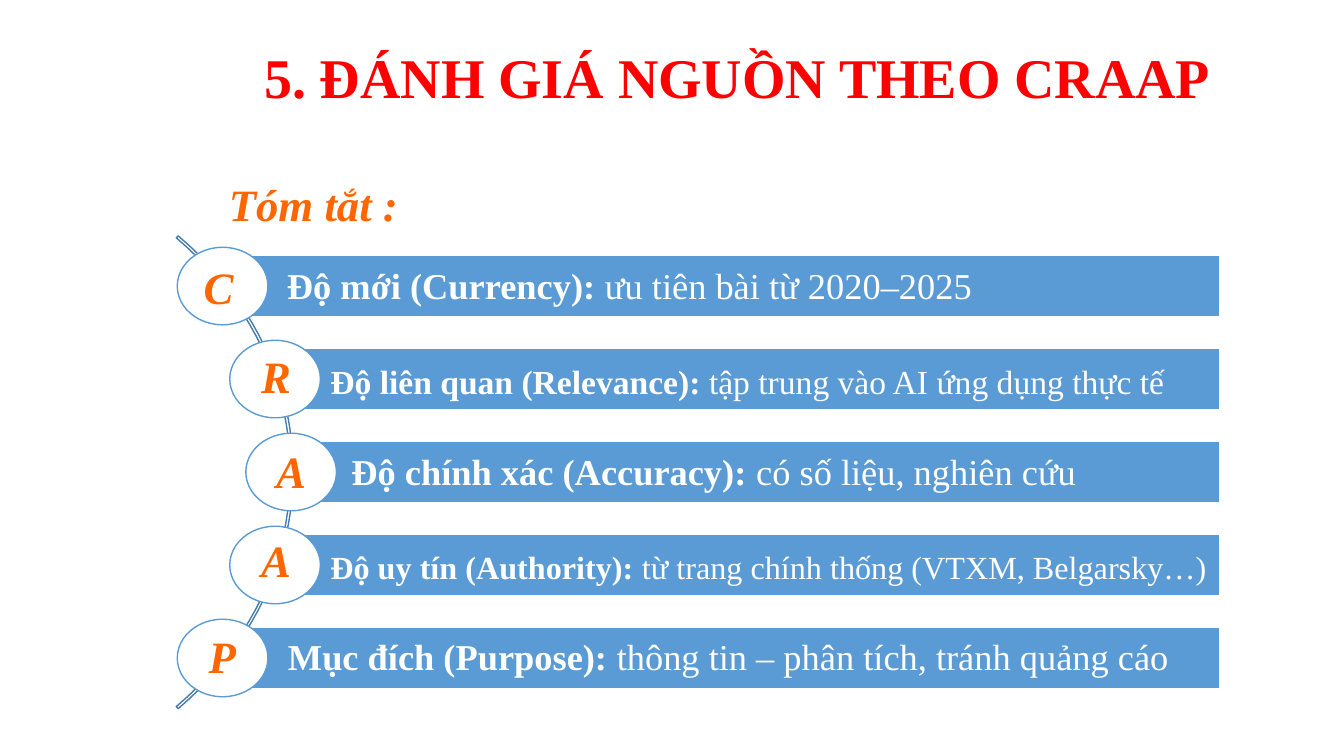
"""Build the slide that sums up the CRAAP source checks."""
from dataclasses import dataclass

import pptx
import pptx.dml.color
import pptx.enum.shapes
import pptx.enum.text
import pptx.util

Pt = pptx.util.Pt
RGB = pptx.dml.color.RGBColor.from_string
ALIGN = pptx.enum.text.PP_ALIGN
SHAPE = pptx.enum.shapes.MSO_SHAPE


@dataclass
class Theme:
    font: str = "Times New Roman"
    red: RGB = RGB("FF0000")
    orange: RGB = RGB("FF6600")
    blue: RGB = RGB("5B9BD5")
    arc: RGB = RGB("477BA9")
    white: RGB = RGB("FFFFFF")
    title: int = 40
    letter: int = 32


theme = Theme()
prs = pptx.Presentation()
prs.slide_width, prs.slide_height = Pt(960.48), Pt(540)
s = prs.slides.add_slide(prs.slide_layouts[6])


def add_text(box, runs, size, color, align=ALIGN.JUSTIFY, italic=False, inset=7.2):
    tb = s.shapes.add_textbox(*[Pt(v) for v in box])
    tf = tb.text_frame
    tf.word_wrap = True
    tf.margin_left = Pt(inset)
    p = tf.paragraphs[0]
    p.alignment = align
    for text, bold in runs:
        r = p.add_run()
        r.text = text
        r.font.name = theme.font
        r.font.size = Pt(size)
        r.font.bold = bold
        r.font.italic = italic
        r.font.color.rgb = color


def style(sp, line, fill=None):
    sp.shadow.inherit = False
    if fill is None:
        sp.fill.background()
    else:
        sp.fill.solid()
        sp.fill.fore_color.rgb = fill
    sp.line.color.rgb = line
    sp.line.width = Pt(1)


add_text((167, 26.6, 720, 55.4), [("5. ĐÁNH GIÁ NGUỒN THEO CRAAP", True)],
         theme.title, theme.red, ALIGN.CENTER)

steps = 40
outer = (127.4, 168.5), (236.9, 261.4), (236.9, 412.6), (127.4, 506.2)
inner = (126, 504.7), (234.7, 412.6), (234.7, 262.1), (126, 169.9)
points = []
for curve in (outer, inner):
    for i in range(steps + 1):
        t = i / steps
        weights = (1 - t) ** 3, 3 * t * (1 - t) ** 2, 3 * t * t * (1 - t), t ** 3
        points.append(tuple(Pt(sum(w * c[axis] for w, c in zip(weights, curve)))
                            for axis in (0, 1)))
fb = s.shapes.build_freeform(*points[0])
fb.add_line_segments(points[1:], close=True)
style(fb.convert_to_shape(), theme.arc)

add_text((148.3, 122.4, 798.5, 46.1), [("Tóm tắt :", True)],
         theme.letter, theme.orange, italic=True, inset=15.2)

rows = [
    ("C", 126.7, (130.3, 182.2), (198, 184.3), 26,
     "Độ mới (Currency): ", "ưu tiên bài từ 2020–2025"),
    ("R", 164.2, (171.4, 245.5), (229, 254.2), 24,
     "Độ liên quan (Relevance): ", "tập trung vào AI ứng dụng thực tế"),
    ("A", 175.7, (182.2, 313.2), (244.1, 317.5), 26,
     "Độ chính xác (Accuracy): ", "có số liệu, nghiên cứu"),
    ("A", 164.2, (171.4, 377.3), (229, 387.4), 23,
     "Độ uy tín (Authority): ", "từ trang chính thống (VTXM, Belgarsky…)"),
    ("P", 126.7, (133.9, 445.7), (198.7, 449.3), 26,
     "Mục đích (Purpose): ", "thông tin – phân tích, tránh quảng cáo"),
]
row_top, row_pitch, bar_height, bar_right = 182.2, 66.42, 44.3, 871.9
circle_width, circle_height = 64.8, 55.4

for i, (letter, left, letter_at, label_at, size, name, detail) in enumerate(rows):
    top = row_top + i * row_pitch
    bar_left = left + circle_width / 2
    bar = s.shapes.add_shape(SHAPE.RECTANGLE, Pt(bar_left), Pt(top),
                             Pt(bar_right - bar_left), Pt(bar_height))
    style(bar, theme.white, theme.blue)
    circle = s.shapes.add_shape(SHAPE.OVAL, Pt(left),
                                Pt(top + (bar_height - circle_height) / 2),
                                Pt(circle_width), Pt(circle_height))
    style(circle, theme.blue, theme.white)
    add_text((*label_at, 700, 38), [(name, True), (detail, False)], size, theme.white)
    add_text((*letter_at, 56.9, 46.1), [(letter, True)],
             theme.letter, theme.orange, italic=True, inset=15.2)

prs.save("out.pptx")
